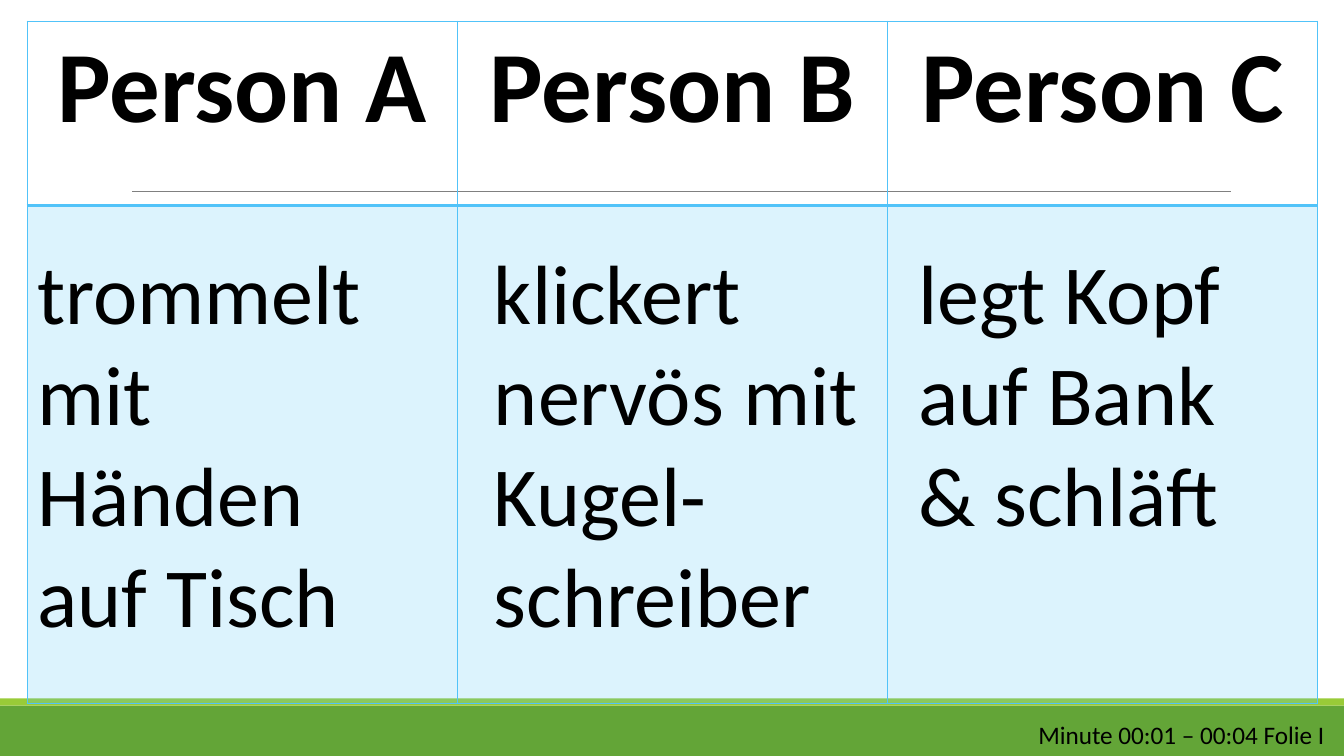
from dataclasses import dataclass

from lxml.etree import SubElement
from pptx import Presentation
from pptx.dml.color import RGBColor
from pptx.enum.shapes import MSO_CONNECTOR as Connector, MSO_SHAPE as Shape
from pptx.enum.text import PP_ALIGN as Align
from pptx.oxml import parse_xml
from pptx.oxml.ns import nsdecls, qn
from pptx.slide import Slide
from pptx.table import _Cell as Cell
from pptx.util import Inches, Pt


@dataclass(frozen=True)
class Theme:
    font: str = "Calibri"
    text: str = "000000"
    band: str = "63A537"
    band_edge: str = "99CB38"
    rule: str = "808080"
    table: str = "51C3F9"
    table_opacity: int = 20
    heading_size: int = 72
    body_size: int = 60
    footer_size: int = 18


@dataclass(frozen=True)
class Band:
    top: float
    height: float
    color: str


@dataclass(frozen=True)
class Note:
    left: float
    top: float
    width: float
    height: float
    size: int
    lines: tuple[str, ...]


THEME = Theme()
SLIDE_WIDTH, SLIDE_HEIGHT = 13.33, 7.5
TABLE_LEFT, TABLE_TOP, TABLE_WIDTH = 0.27, 0.21, 12.8
ROW_HEIGHTS = (1.83, 4.94)
PERSONS = ("Person A", "Person B", "Person C")
BANDS = (
    Band(7, 0.5, THEME.band),
    Band(6.93, 0.07, THEME.band_edge),
)
NOTES = (
    Note(0.27, 2.34, 3.79, 4.14, THEME.body_size, ("trommelt mit Händen auf Tisch",)),
    Note(4.8, 2.34, 4.32, 4.14, THEME.body_size, ("klickert nervös mit Kugel-schreiber",)),
    Note(9.01, 2.34, 4.02, 3.13, THEME.body_size, ("legt Kopf auf Bank", "& schläft")),
    Note(10.2, 7.09, 3.07, 0.4, THEME.footer_size, ("Minute 00:01 – 00:04 Folie I",)),
)


def style_font(font, size: int, bold: bool = False) -> None:
    font.name = THEME.font
    font.size = Pt(size)
    font.bold = bold
    font.color.rgb = RGBColor.from_string(THEME.text)


def add_band(slide: Slide, band: Band) -> None:
    shape = slide.shapes.add_shape(
        Shape.RECTANGLE, 0, Inches(band.top), Inches(SLIDE_WIDTH), Inches(band.height)
    )
    shape.shadow.inherit = False
    shape.fill.solid()
    shape.fill.fore_color.rgb = RGBColor.from_string(band.color)
    shape.line.fill.background()


def add_rule(slide: Slide) -> None:
    rule = slide.shapes.add_connector(
        Connector.STRAIGHT, Inches(1.31), Inches(1.9), Inches(12.21), Inches(1.9)
    )
    rule.line.color.rgb = RGBColor.from_string(THEME.rule)
    rule.line.width = Pt(0.5)
    SubElement(rule._element.spPr, qn("a:effectLst"))


def set_borders(cell: Cell, widths: dict[str, int]) -> None:
    """Draw the cell's borders; widths in points, keyed L, R, T, B in that order."""
    properties = cell._tc.get_or_add_tcPr()
    for index, (side, width) in enumerate(widths.items()):
        border = parse_xml(
            f'<a:ln{side} {nsdecls("a")} w="{Pt(width)}"><a:solidFill>'
            f'<a:srgbClr val="{THEME.table}"/></a:solidFill></a:ln{side}>'
        )
        properties.insert(index, border)


def fill_body_cell(cell: Cell) -> None:
    cell.fill.solid()
    cell.fill.fore_color.rgb = RGBColor.from_string(THEME.table)
    color = cell._tc.tcPr.find(f"{qn('a:solidFill')}/{qn('a:srgbClr')}")
    SubElement(color, qn("a:alpha"), val=str(THEME.table_opacity * 1000))


def add_person_table(slide: Slide) -> None:
    table = slide.shapes.add_table(
        len(ROW_HEIGHTS), len(PERSONS), Inches(TABLE_LEFT), Inches(TABLE_TOP),
        Inches(TABLE_WIDTH), Inches(sum(ROW_HEIGHTS)),
    ).table
    table.first_row = table.horz_banding = False
    for row, height in zip(table.rows, ROW_HEIGHTS):
        row.height = Inches(height)
    for column, person in enumerate(PERSONS):
        heading, body = table.cell(0, column), table.cell(1, column)
        heading.text = person
        paragraph = heading.text_frame.paragraphs[0]
        paragraph.alignment = Align.CENTER
        style_font(paragraph.font, THEME.heading_size, bold=True)
        heading.fill.background()
        fill_body_cell(body)
        set_borders(heading, {"L": 1, "R": 1, "T": 1, "B": 2})
        set_borders(body, {"L": 1, "R": 1, "T": 2, "B": 1})


def add_note(slide: Slide, note: Note) -> None:
    box = slide.shapes.add_textbox(
        Inches(note.left), Inches(note.top), Inches(note.width), Inches(note.height)
    )
    frame = box.text_frame
    frame.word_wrap = True
    frame.text = "\n".join(note.lines)
    for paragraph in frame.paragraphs:
        style_font(paragraph.font, note.size)


def main() -> None:
    presentation = Presentation()
    presentation.slide_width = Inches(SLIDE_WIDTH)
    presentation.slide_height = Inches(SLIDE_HEIGHT)
    slide = presentation.slides.add_slide(presentation.slide_layouts[6])
    for band in BANDS:
        add_band(slide, band)
    add_rule(slide)
    add_person_table(slide)
    for note in NOTES:
        add_note(slide, note)
    presentation.save("out.pptx")


if __name__ == "__main__":
    main()
